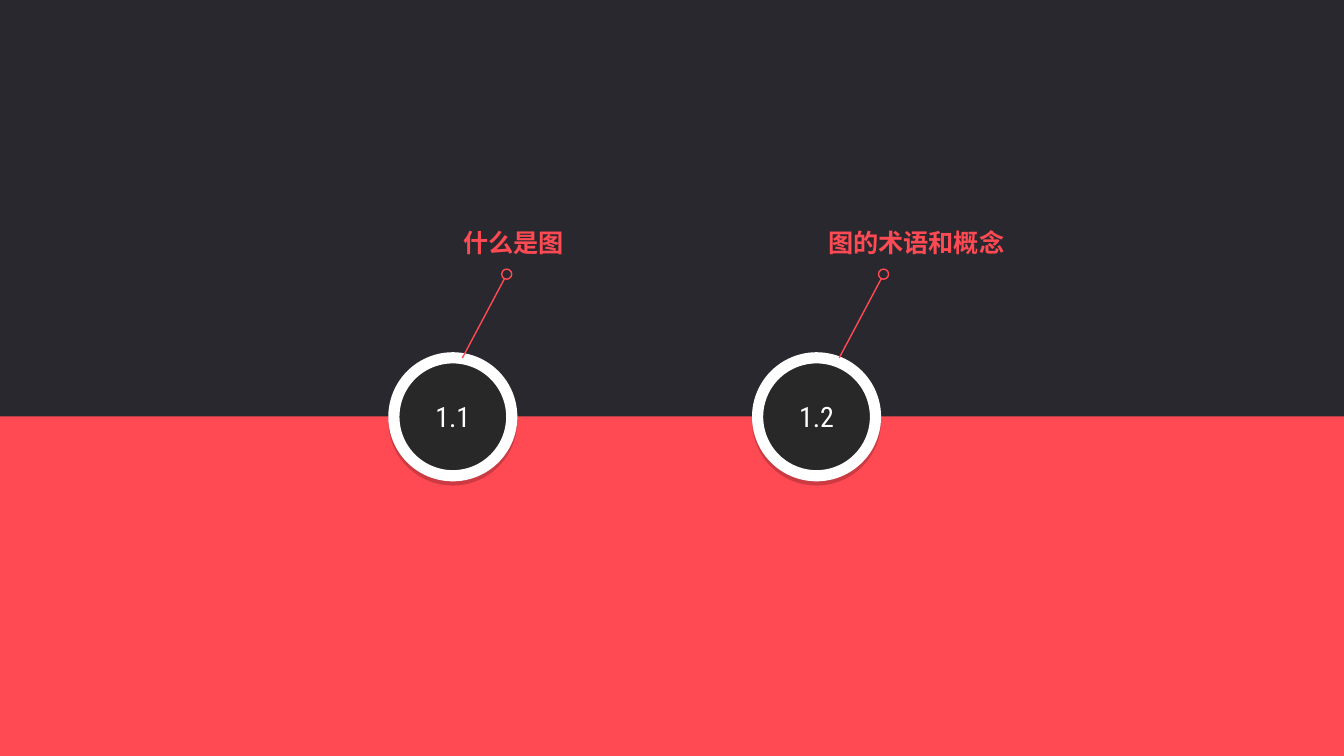
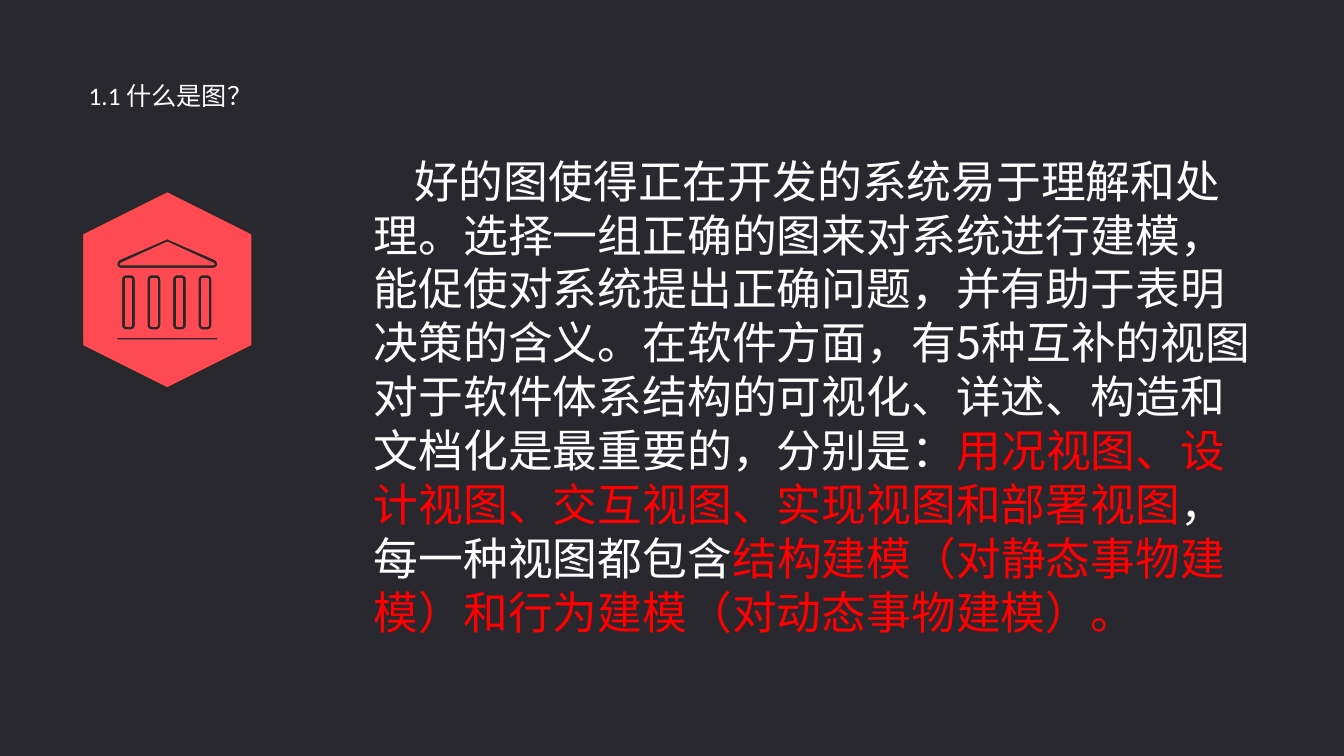
"""Build two slides on diagrams: a section overview and a definition."""
from dataclasses import dataclass
from math import cos, pi, sin

from lxml.etree import SubElement
from pptx import Presentation
from pptx.dml.color import RGBColor
from pptx.enum.shapes import MSO_CONNECTOR, MSO_SHAPE
from pptx.enum.text import MSO_ANCHOR, MSO_AUTO_SIZE, PP_ALIGN
from pptx.oxml import parse_xml
from pptx.oxml.ns import nsdecls, qn
from pptx.shapes.autoshape import Shape
from pptx.slide import Slide
from pptx.text.text import TextFrame
from pptx.util import Emu, Pt

PX = 9144
SLIDE_WIDTH, SLIDE_HEIGHT = 1334, 750
TITLE_AND_CONTENT_LAYOUT, BLANK_LAYOUT = 1, 6

RECTANGLE = MSO_SHAPE.RECTANGLE
OVAL = MSO_SHAPE.OVAL
HEXAGON = MSO_SHAPE.HEXAGON
STRAIGHT = MSO_CONNECTOR.STRAIGHT
TOP, MIDDLE = MSO_ANCHOR.TOP, MSO_ANCHOR.MIDDLE
LEFT, CENTER = PP_ALIGN.LEFT, PP_ALIGN.CENTER
FIXED_SIZE = MSO_AUTO_SIZE.NONE

BACKGROUND = RGBColor(0x29, 0x28, 0x2E)
CORAL = RGBColor(0xFF, 0x4A, 0x53)
CHARCOAL = RGBColor(0x28, 0x28, 0x28)
WHITE = RGBColor(0xFF, 0xFF, 0xFF)
RED = RGBColor(0xFF, 0x00, 0x00)

NUMBER_FONT = "Roboto Condensed"
LABEL_FONT = "Noto Sans CJK JP"
TITLE_FONT = "Calibri"
BODY_FONT = "Noto Sans CJK SC"

BAND_TOP = 413
CIRCLE_SIZE = 117
PIN_TOP, PIN_SIZE = 267, 10
LABEL_TOP, LABEL_HEIGHT = 221, 40
ICON_CENTER = 166
COLUMN_COUNT = 4

Points = list[tuple[float, float]]


@dataclass(frozen=True)
class Box:
    """A frame in px."""

    left: int
    top: int
    width: int
    height: int

    def emu(self) -> tuple[Emu, Emu, Emu, Emu]:
        """Return the frame in EMU."""
        return tuple(Emu(value * PX) for value in (self.left, self.top, self.width, self.height))


@dataclass(frozen=True)
class Section:
    """A numbered circle with a pinned label."""

    number: str
    label: str
    circle_left: int
    pin_left: int
    label_left: int
    label_width: int


@dataclass(frozen=True)
class Passage:
    """A stretch of body text in one colour."""

    text: str
    color: RGBColor


SECTIONS = (
    Section("1.1", "什么是图", 391, 498, 450, 120),
    Section("1.2", "图的术语和概念", 752, 872, 812, 195),
)
PASSAGES = (
    Passage(
        "好的图使得正在开发的系统易于理解和处理。选择一组正确的图来对系统进行建模，"
        "能促使对系统提出正确问题，并有助于表明决策的含义。在软件方面，有5种互补的视图"
        "对于软件体系结构的可视化、详述、构造和文档化是最重要的，分别是：",
        WHITE,
    ),
    Passage("用况视图、设计视图、交互视图、实现视图和部署视图", RED),
    Passage("，每一种视图都包含", WHITE),
    Passage("结构建模（对静态事物建模）和行为建模（对动态事物建模）。", RED),
)


def format_text(
    frame: TextFrame,
    font_name: str,
    size: int,
    color: RGBColor | None = None,
    bold: bool = False,
    alignment: PP_ALIGN = LEFT,
    anchor: MSO_ANCHOR = TOP,
    wrap: bool = True,
) -> None:
    """Format a frame that holds a single paragraph."""
    frame.auto_size = FIXED_SIZE
    frame.word_wrap = wrap
    frame.vertical_anchor = anchor
    paragraph = frame.paragraphs[0]
    paragraph.alignment = alignment
    paragraph.space_before = Pt(0)
    font = paragraph.font
    font.name = font_name
    font.size = Pt(size)
    font.bold = bold
    if color is not None:
        font.color.rgb = color
    properties = paragraph._p.get_or_add_pPr().find(qn("a:defRPr"))
    east_asian = BODY_FONT if font_name == TITLE_FONT else font_name
    SubElement(properties, qn("a:ea"), typeface=east_asian)


def style_shape(
    shape: Shape, fill: RGBColor | None, line: RGBColor | None = None, line_width: float = 1
) -> None:
    """Set fill and outline and drop the theme shadow."""
    shape.shadow.inherit = False
    if fill is None:
        shape.fill.background()
    else:
        shape.fill.solid()
        shape.fill.fore_color.rgb = fill
    if line is None:
        shape.line.fill.background()
    else:
        shape.line.color.rgb = line
        shape.line.width = Pt(line_width)


def add_drop_shadow(shape: Shape) -> None:
    """Give a shape a hard, faint shadow just below it."""
    effects = shape._element.spPr.find(qn("a:effectLst"))
    effects.append(
        parse_xml(
            f'<a:outerShdw {nsdecls("a")} blurRad="0" dist="38100" dir="5400000" rotWithShape="0">'
            '<a:srgbClr val="000000"><a:alpha val="20000"/></a:srgbClr></a:outerShdw>'
        )
    )


def add_section(slide: Slide, section: Section) -> None:
    """Draw a numbered circle, its pin and its label."""
    circle_top = BAND_TOP - CIRCLE_SIZE // 2
    circle_box = Box(section.circle_left, circle_top, CIRCLE_SIZE, CIRCLE_SIZE)
    circle = slide.shapes.add_shape(OVAL, *circle_box.emu())
    style_shape(circle, CHARCOAL, WHITE, 8)
    add_drop_shadow(circle)
    circle.text_frame.text = section.number
    format_text(
        circle.text_frame, NUMBER_FONT, 20, WHITE, alignment=CENTER, anchor=MIDDLE, wrap=False
    )

    ends = Box(section.pin_left - 39, circle_top, section.pin_left + 3, PIN_TOP + 9)
    stem = slide.shapes.add_connector(STRAIGHT, *ends.emu())
    stem.line.color.rgb = CORAL
    stem.line.width = Pt(1)
    SubElement(stem._element.spPr, qn("a:effectLst"))
    pin_box = Box(section.pin_left, PIN_TOP, PIN_SIZE, PIN_SIZE)
    pin = slide.shapes.add_shape(OVAL, *pin_box.emu())
    style_shape(pin, None, CORAL)

    label_box = Box(section.label_left, LABEL_TOP, section.label_width, LABEL_HEIGHT)
    label = slide.shapes.add_textbox(*label_box.emu())
    label.text_frame.text = section.label
    format_text(label.text_frame, LABEL_FONT, 18, CORAL, bold=True, wrap=False)


def rounded_outline(left: float, top: float, width: float, height: float, radius: float) -> Points:
    """Return the points of a rectangle with rounded corners."""
    right, bottom = left + width - radius, top + height - radius
    centers = (
        (right, bottom),
        (left + radius, bottom),
        (left + radius, top + radius),
        (right, top + radius),
    )
    steps = 6
    return [
        (
            x + radius * cos((corner + step / steps) * pi / 2),
            y + radius * sin((corner + step / steps) * pi / 2),
        )
        for corner, (x, y) in enumerate(centers)
        for step in range(steps + 1)
    ]


def add_outline(slide: Slide, *contours: Points) -> None:
    """Draw closed contours as one icon part; later contours are holes."""
    scaled = [[(round(x * PX), round(y * PX)) for x, y in contour] for contour in contours]
    builder = slide.shapes.build_freeform(*scaled[0][0])
    for index, contour in enumerate(scaled):
        if index:
            builder.move_to(*contour[0])
        builder.add_line_segments(contour[1:], close=True)
    style_shape(builder.convert_to_shape(), CHARCOAL, CORAL, 1.75)


def add_building_icon(slide: Slide) -> None:
    """Draw a columned building on a hexagon."""
    hexagon = slide.shapes.add_shape(HEXAGON, *Box(68, 203, 196, 169).emu())
    hexagon.rotation = 90
    style_shape(hexagon, CORAL, CHARCOAL, 1.5)

    add_outline(slide, rounded_outline(115, 334, 102, 4, 2))
    for index in range(COLUMN_COUNT):
        left = 120 + 76 * index / (COLUMN_COUNT - 1)
        hole = [(left + 5, 277), (left + 10, 277), (left + 10, 323), (left + 5, 323)]
        add_outline(slide, rounded_outline(left, 272, 15, 56, 5), hole)

    right_half = [(166, 236), (168, 237), (214, 257), (216, 259), (217, 263), (215, 266), (212, 267)]
    left_half = [(2 * ICON_CENTER - x, y) for x, y in reversed(right_half[1:])]
    add_outline(slide, right_half + left_half, [(166, 241), (212, 262), (120, 262)])


def place(shape: Shape, box: Box) -> None:
    """Move a placeholder to a frame."""
    shape.left, shape.top, shape.width, shape.height = box.emu()


def build_overview(presentation: Presentation) -> None:
    """Build the slide that lists the sections."""
    slide = presentation.slides.add_slide(presentation.slide_layouts[BLANK_LAYOUT])
    band_box = Box(0, BAND_TOP, SLIDE_WIDTH, SLIDE_HEIGHT - BAND_TOP)
    band = slide.shapes.add_shape(RECTANGLE, *band_box.emu())
    style_shape(band, CORAL)
    for section in SECTIONS:
        add_section(slide, section)


def build_definition(presentation: Presentation) -> None:
    """Build the slide that explains what a diagram is."""
    slide = presentation.slides.add_slide(presentation.slide_layouts[TITLE_AND_CONTENT_LAYOUT])
    title = slide.shapes.title
    place(title, Box(78, 75, 242, 40))
    title.text_frame.text = "1.1 什么是图？"
    format_text(title.text_frame, TITLE_FONT, 18, WHITE)
    add_building_icon(slide)

    body = slide.placeholders[1]
    place(body, Box(361, 147, 891, 490))
    paragraph = body.text_frame.paragraphs[0]
    for passage in PASSAGES:
        run = paragraph.add_run()
        run.text = passage.text
        run.font.color.rgb = passage.color
    format_text(body.text_frame, BODY_FONT, 32)
    paragraph.line_spacing = Pt(38.5)
    properties = paragraph._p.get_or_add_pPr()
    properties.set("marL", "0")
    properties.set("indent", str(40 * PX))
    no_bullet = parse_xml(f'<a:buNone {nsdecls("a")}/>')
    properties.insert_element_before(no_bullet, "a:tabLst", "a:defRPr", "a:extLst")


def main() -> None:
    """Build and save the presentation."""
    presentation = Presentation()
    presentation.slide_width = Emu(SLIDE_WIDTH * PX)
    presentation.slide_height = Emu(SLIDE_HEIGHT * PX)
    background = presentation.slide_master.background.fill
    background.solid()
    background.fore_color.rgb = BACKGROUND
    build_overview(presentation)
    build_definition(presentation)
    presentation.save("out.pptx")


if __name__ == "__main__":
    main()
